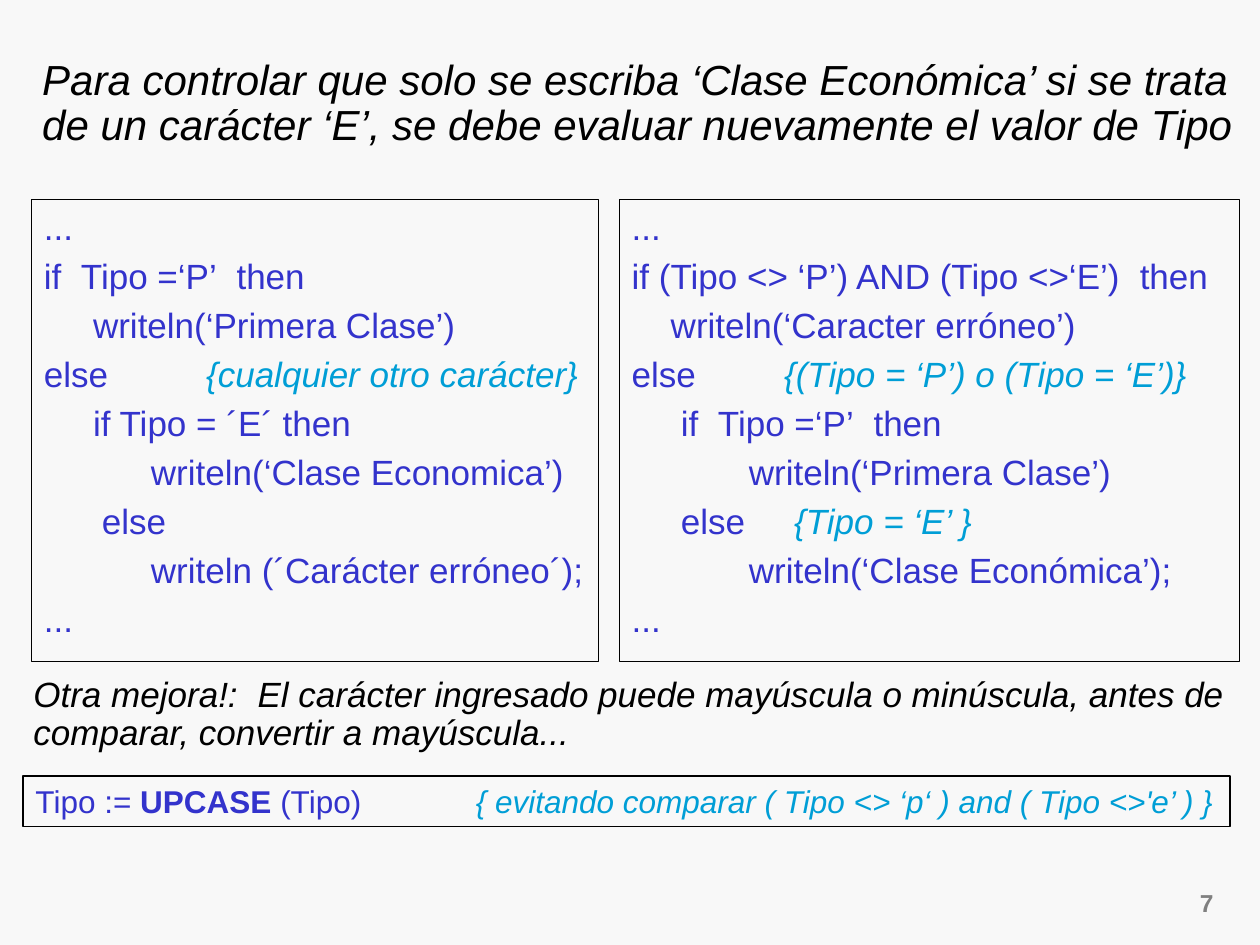
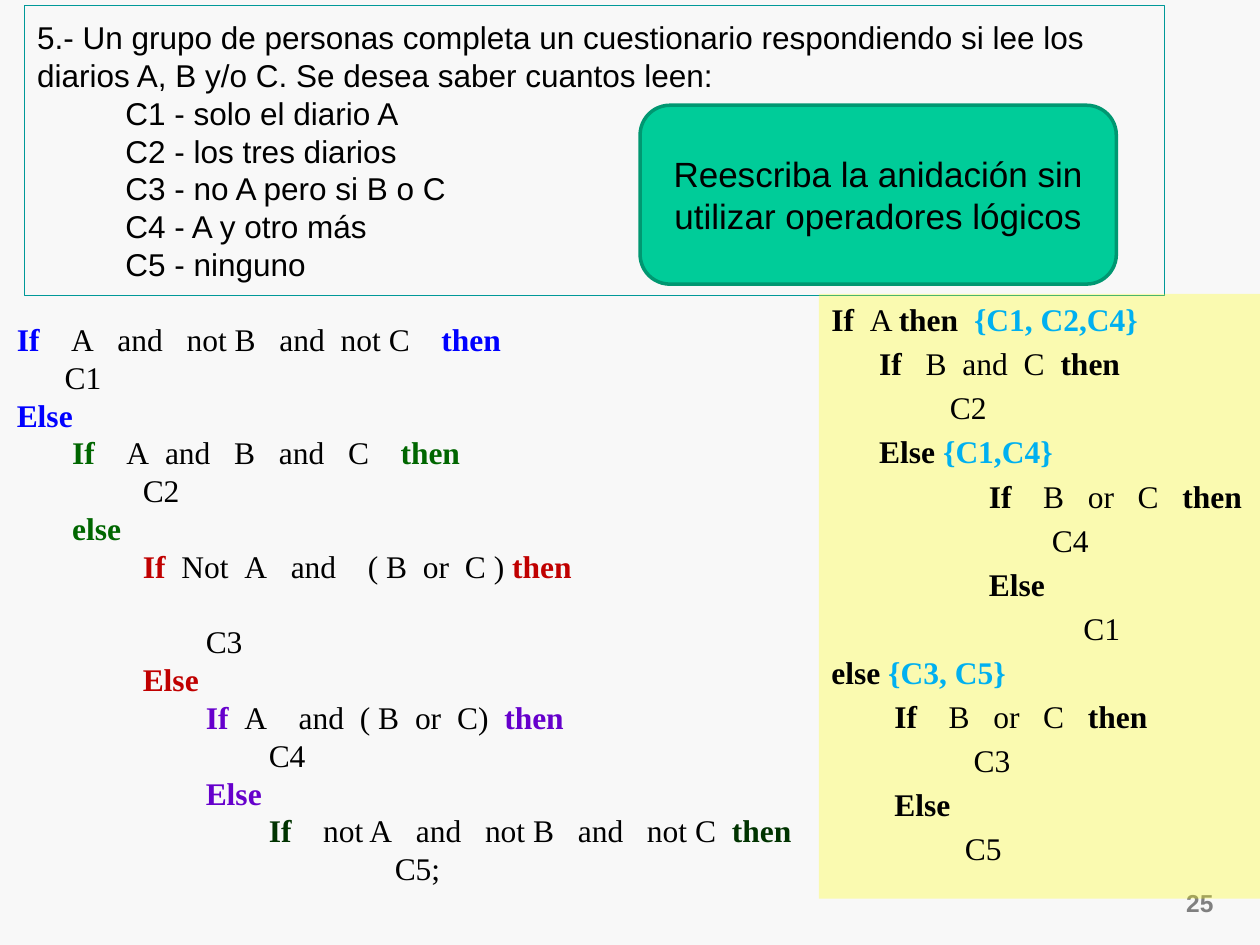
from lxml import etree
from pptx import Presentation
from pptx.dml.color import RGBColor
from pptx.enum.shapes import MSO_SHAPE
from pptx.enum.text import MSO_ANCHOR, MSO_AUTO_SIZE, PP_ALIGN
from pptx.oxml.ns import qn
from pptx.util import Inches, Pt

RECTANGLE = MSO_SHAPE.RECTANGLE
ROUNDED = MSO_SHAPE.FLOWCHART_ALTERNATE_PROCESS
TOP, MIDDLE = MSO_ANCHOR.TOP, MSO_ANCHOR.MIDDLE
LEFT, CENTER, RIGHT = PP_ALIGN.LEFT, PP_ALIGN.CENTER, PP_ALIGN.RIGHT
NO_AUTOFIT = MSO_AUTO_SIZE.NONE

BACKGROUND = RGBColor(0xF8, 0xF8, 0xF8)
BLACK = RGBColor(0, 0, 0)
GREY = RGBColor(0x80, 0x80, 0x80)
CODE_BLUE = RGBColor(0x33, 0x33, 0xCC)
COMMENT_BLUE = RGBColor(0x00, 0x9E, 0xD6)
CASE_BLUE = RGBColor(0x00, 0xB0, 0xF0)
TEAL = RGBColor(0x00, 0x99, 0x99)
GREEN = RGBColor(0x00, 0xCC, 0x99)
GREEN_EDGE = RGBColor(0x00, 0x97, 0x71)
YELLOW = RGBColor(0xFF, 0xFF, 0x00)
LEVEL_1 = RGBColor(0x00, 0x00, 0xFF)
LEVEL_2 = RGBColor(0x00, 0x66, 0x00)
LEVEL_3 = RGBColor(0xC0, 0x00, 0x00)
LEVEL_4 = RGBColor(0x66, 0x00, 0xCC)
LEVEL_5 = RGBColor(0x00, 0x33, 0x00)

SANS, SERIF = "Arial", "Times New Roman"
SPACE_WIDTH = {SANS: 0.28, SERIF: 0.25}
COLUMNS, ROWS = 100, 75
LINE_HEIGHT = 1.2
PARAGRAPH_GAP = 0.2

PLAIN = {"color": BLACK}
BOLD = {"color": BLACK, "bold": True}
ITALIC = {"color": BLACK, "italic": True}
CODE = {"color": CODE_BLUE}
CODE_BOLD = {"color": CODE_BLUE, "bold": True}
COMMENT = {"color": COMMENT_BLUE, "italic": True}
CASES = {"color": CASE_BLUE, "bold": True}
NUMBER = {"color": GREY, "bold": True}


def line(*pieces, indent=0, before=None):
    """One paragraph of (text, style) pieces; |3| in a text is a gap three spaces wide."""
    return pieces, indent, before


def code(text, indent=0, comment=""):
    return line((text, CODE), (comment, COMMENT), indent=indent)


def branch(color, *pieces, indent=0):
    """Pieces alternate between a coloured bold keyword and plain text."""
    styles = ({"color": color, "bold": True}, PLAIN)
    styled = [(text, styles[index % 2]) for index, text in enumerate(pieces)]
    return line(*styled, indent=indent)


def outcome(name, indent, before=None):
    return line((name, PLAIN), indent=indent, before=before)


def place(presentation, columns, rows, width, height):
    """Turn grid cells into left, top, width and height."""
    column = presentation.slide_width / COLUMNS
    row = presentation.slide_height / ROWS
    return [int(value) for value in
            (columns * column, rows * row, width * column, height * row)]


def move(shape, box):
    shape.left, shape.top, shape.width, shape.height = box


def indent_paragraph(paragraph, indent):
    properties = paragraph._p.get_or_add_pPr()
    properties.set("marL", str(Inches(indent)))
    properties.set("indent", "0")
    etree.SubElement(properties, qn("a:buNone"))


def add_run(paragraph, text, style, size, font):
    run = paragraph.add_run()
    run.text = text
    values = {"name": font, "size": Pt(size), "bold": False, "italic": False, **style}
    run.font.color.rgb = values.pop("color")
    for name, value in values.items():
        setattr(run.font, name, value)
    return run


def add_gap(paragraph, spaces, style, size, font):
    """One space, tracked out to the width of several."""
    run = add_run(paragraph, " ", style, size, font)
    extra_points = (spaces - 1) * SPACE_WIDTH[font] * size
    run._r.get_or_add_rPr().set("spc", str(round(extra_points * 100)))


def write(shape, lines, size, font=SANS, anchor=TOP, align=LEFT, gap=0, spacing=1):
    frame = shape.text_frame
    frame.word_wrap = True
    frame.auto_size = NO_AUTOFIT
    frame.vertical_anchor = anchor
    for index, (pieces, indent, before) in enumerate(lines):
        paragraph = frame.add_paragraph() if index else frame.paragraphs[0]
        paragraph.alignment = align
        paragraph.line_spacing = Pt(size * LINE_HEIGHT * spacing)
        paragraph.space_before = Pt(before or size * gap)
        indent_paragraph(paragraph, indent)
        for text, style in pieces:
            for position, part in enumerate(text.split("|")):
                if position % 2:
                    add_gap(paragraph, int(part), style, size, font)
                elif part:
                    add_run(paragraph, part, style, size, font)


def add_box(slide, box, fill=None, edge=None, edge_width=0.75, kind=RECTANGLE, opacity=100):
    shape = slide.shapes.add_shape(kind, *box)
    shape.shadow.inherit = False
    if fill is None:
        shape.fill.background()
    else:
        shape.fill.solid()
        shape.fill.fore_color.rgb = fill
        if opacity < 100:
            color = shape.fill._xPr.find(".//" + qn("a:srgbClr"))
            etree.SubElement(color, qn("a:alpha"), val=str(opacity * 1000))
    if edge is None:
        shape.line.fill.background()
    else:
        shape.line.color.rgb = edge
        shape.line.width = Pt(edge_width)
    return shape


def add_page_number(presentation, slide, number):
    text_box = slide.shapes.add_textbox(*place(presentation, 90.8, 70, 6.5, 3.3))
    write(text_box, [line((number, NUMBER))], 14, align=RIGHT)


def build_type_check(presentation):
    slide = presentation.slides.add_slide(presentation.slide_layouts[5])
    add_page_number(presentation, slide, "7")
    title = slide.shapes.title
    move(title, place(presentation, 2.35, 4.15, 97.65, 10.7))
    headline = ("Para controlar que solo se escriba ‘Clase Económica’ si se trata "
                "de un carácter ‘E’, se debe evaluar nuevamente el valor de Tipo")
    write(title, [line((headline, ITALIC))], 24, spacing=0.9)

    nested_else = [
        code("..."),
        code("if|2|Tipo =‘P’|2|then"),
        code("writeln(‘Primera Clase’)", 0.39),
        code("else|10|", comment="{cualquier otro carácter}"),
        code("if Tipo = ´E´ then", 0.39),
        code("writeln(‘Clase Economica’)", 0.85),
        code("else", 0.46),
        code("writeln (´Carácter erróneo´);", 0.85),
        code("..."),
    ]
    error_first = [
        code("..."),
        code("if (Tipo <> ‘P’) AND (Tipo <>‘E’)|2|then"),
        code("writeln(‘Caracter erróneo’)", 0.31),
        code("else|9|", comment="{(Tipo = ‘P’) o (Tipo = ‘E’)}"),
        code("if|2|Tipo =‘P’|2|then", 0.39),
        code("writeln(‘Primera Clase’)", 0.93),
        code("else|5|", 0.39, comment="{Tipo = ‘E’ }"),
        code("writeln(‘Clase Económica’);", 0.93),
        code("..."),
    ]
    for column, width, lines in ((2.5, 45, nested_else), (49.15, 49.2, error_first)):
        box = add_box(slide, place(presentation, column, 15.83, width, 36.7), edge=BLACK)
        write(box, lines, 20, gap=PARAGRAPH_GAP)

    improvement = slide.shapes.add_textbox(*place(presentation, 1.67, 53.2, 96.7, 6.7))
    advice = ("Otra mejora!:|2|El carácter ingresado puede mayúscula o minúscula, "
              "antes de comparar, convertir a mayúscula...")
    write(improvement, [line((advice, ITALIC))], 20, spacing=0.9)

    conversion = add_box(slide, place(presentation, 1.83, 61.6, 95.8, 4), edge=BLACK)
    write(conversion, [line(
        ("Tipo := ", CODE), ("UPCASE ", CODE_BOLD), ("(Tipo)|13|", CODE),
        ("{ evitando comparar ( Tipo <> ‘p‘ ) and ( Tipo <>'e’ ) }", COMMENT))],
        18, gap=PARAGRAPH_GAP)


def build_newspaper_exercise(presentation):
    slide = presentation.slides.add_slide(presentation.slide_layouts[1])
    add_page_number(presentation, slide, "25")
    title = slide.shapes.title
    move(title, place(presentation, 1.95, 0.45, 90.5, 23))
    title.line.color.rgb = TEAL
    title.line.width = Pt(0.75)
    question = ("5.- Un grupo de personas completa un cuestionario respondiendo si lee "
                "los diarios A, B y/o C. Se desea saber cuantos leen:")
    counters = ("solo el diario A", "los tres diarios", "no A pero si B o C",
                "A y otro más", "ninguno")
    write(title, [line((question, PLAIN))] + [
        line((f"C{number} - {meaning}", PLAIN), indent=0.7)
        for number, meaning in enumerate(counters, 1)], 18, anchor=MIDDLE)

    body = slide.placeholders[1]
    move(body, place(presentation, 0.33, 24.9, 65.3, 47.3))
    write(body, [
        branch(LEVEL_1, "If", "|4|A|3|and|3|not B|3|and|2|not C|4|", "then"),
        outcome("C1", 0.38),
        branch(LEVEL_1, "Else"),
        branch(LEVEL_2, "If", "|4|A|2|and|3|B|3|and|3|C|4|", "then", indent=0.44),
        outcome("C2", 1),
        branch(LEVEL_2, "else", indent=0.44),
        branch(LEVEL_3, "If|2|", "Not|2|A|3|and|4|( B|2|or|2|C ) ", "then", indent=1),
        outcome("C3", 1.5, before=18 * LINE_HEIGHT),
        branch(LEVEL_3, "Else", indent=1),
        branch(LEVEL_4, "If|2|", "A|4|and|2|( B|2|or|2|C)|2|", "then", indent=1.5),
        outcome("C4", 2),
        branch(LEVEL_4, "Else", indent=1.5),
        branch(LEVEL_5, "If", "|4|not A|3|and|3|not B|3|and|3|not C|2|", "then", indent=2),
        outcome("C5;", 3),
    ], 18, SERIF)

    task = add_box(slide, place(presentation, 50.8, 8.35, 37.8, 14.2),
                   GREEN, GREEN_EDGE, 2, ROUNDED)
    write(task, [line(("Reescriba la anidación sin utilizar operadores lógicos", PLAIN))],
          20, anchor=MIDDLE, align=CENTER)

    solution = add_box(slide, place(presentation, 65, 23.33, 35, 48), YELLOW, opacity=29)
    write(solution, [
        line(("If", BOLD), ("|2|A ", PLAIN), ("then|2|", BOLD), ("{C1, C2,C4}", CASES)),
        branch(BLACK, "If", "|3|B|2|and|2|C|2|", "then", indent=0.38),
        outcome("C2", 0.94),
        line(("Else ", BOLD), ("{C1,C4}", CASES), indent=0.38),
        branch(BLACK, "If", "|4|B|3|or|3|C|3|", "then", indent=1.25),
        outcome("C4", 1.75),
        branch(BLACK, "Else", indent=1.25),
        outcome("C1", 2),
        line(("else ", BOLD), ("{C3, C5}", CASES)),
        branch(BLACK, "If", "|4|B|3|or|3|C|3|", "then", indent=0.5),
        outcome("C3", 1.13),
        branch(BLACK, "Else", indent=0.5),
        outcome("C5", 1.06),
    ], 18, SERIF, gap=PARAGRAPH_GAP)


def main():
    presentation = Presentation()
    presentation.slide_width, presentation.slide_height = Inches(10), Inches(7.5)
    background = presentation.slide_master.background.fill
    background.solid()
    background.fore_color.rgb = BACKGROUND
    build_type_check(presentation)
    build_newspaper_exercise(presentation)
    presentation.save("out.pptx")


if __name__ == "__main__":
    main()
